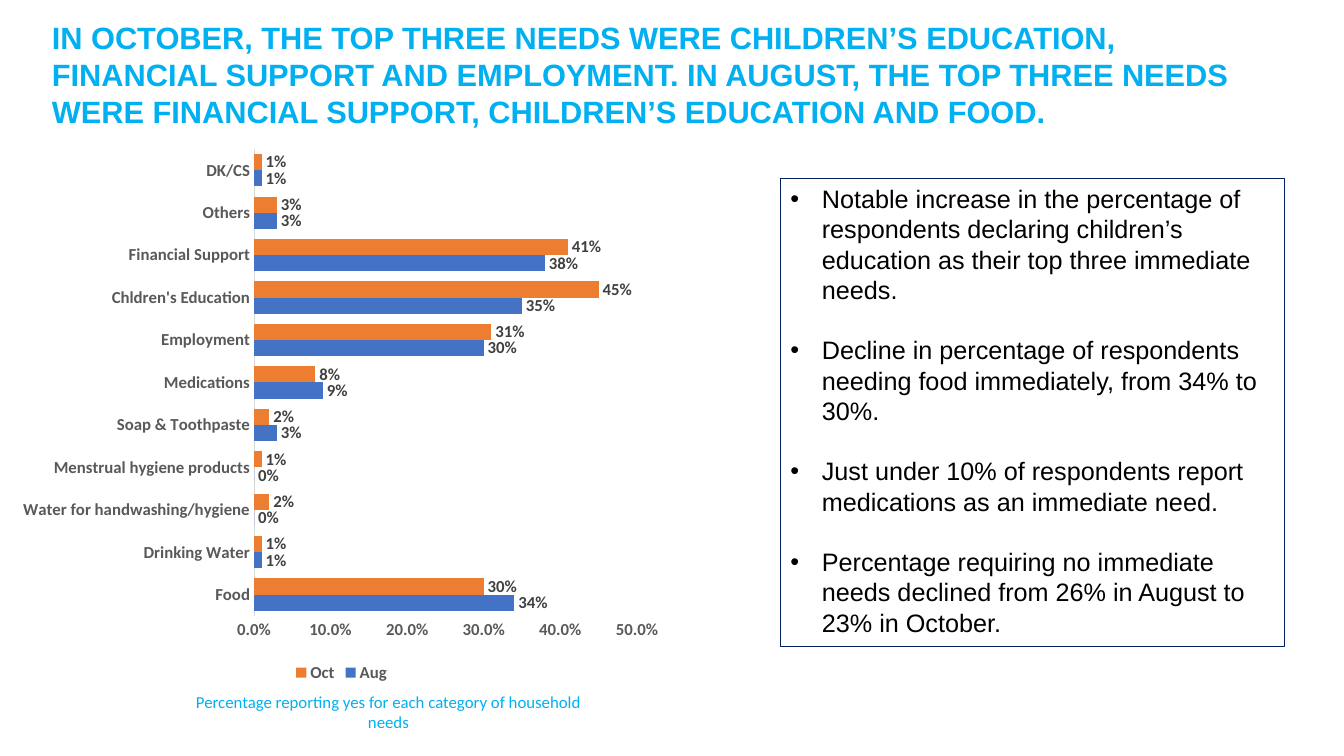
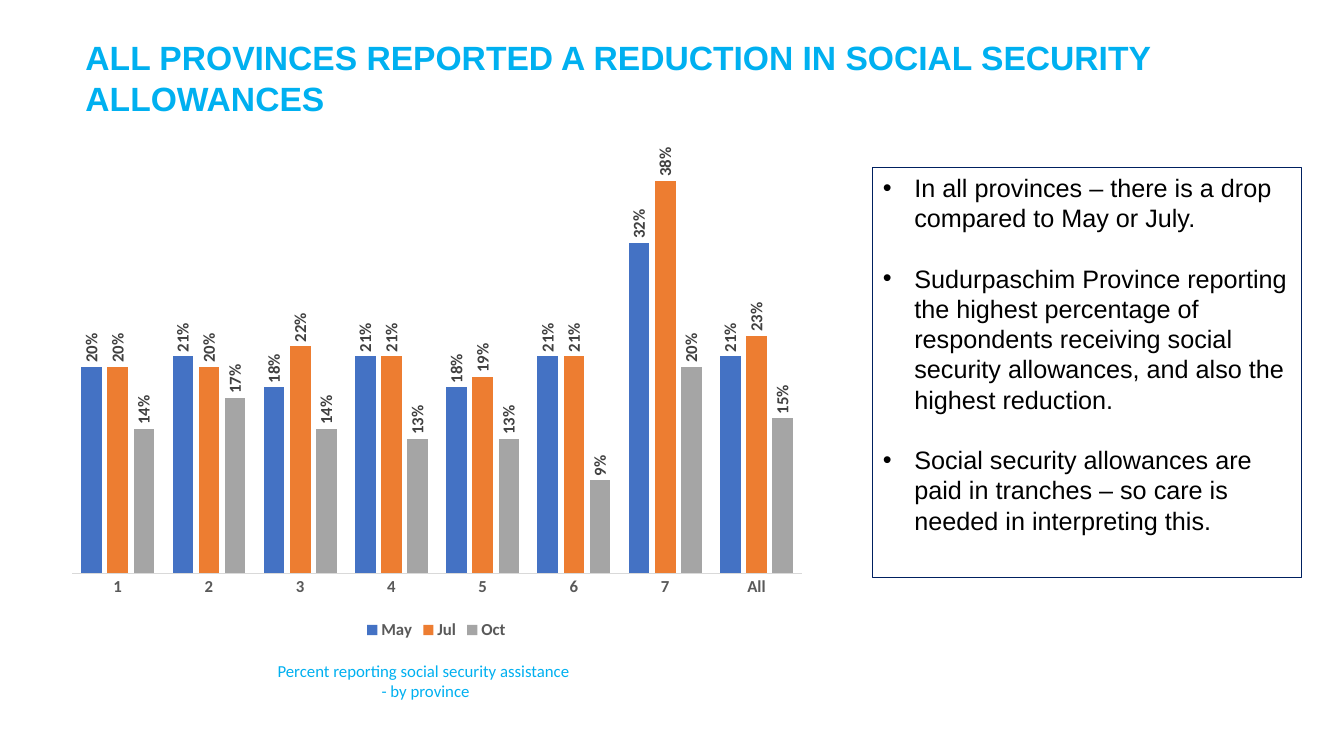
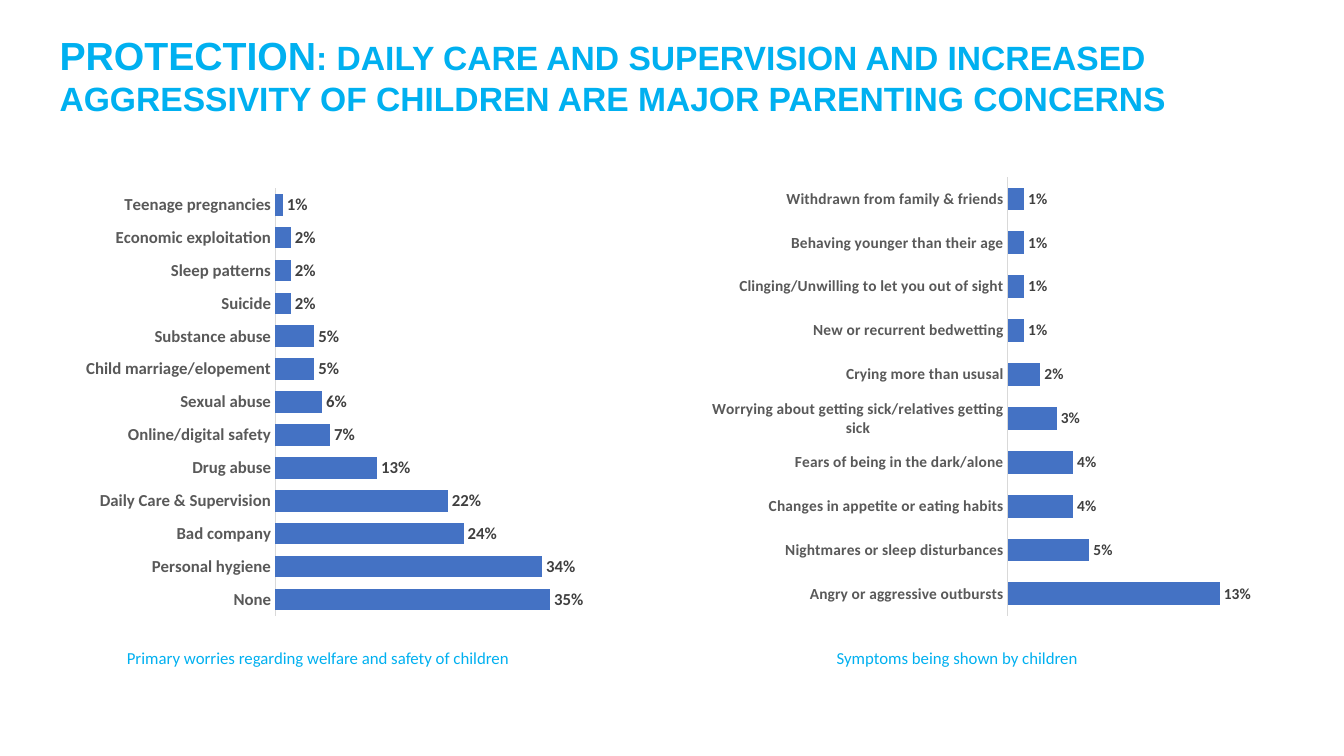
from dataclasses import dataclass

from lxml import etree
from pptx import Presentation
from pptx.chart.data import CategoryChartData
from pptx.dml.color import RGBColor
from pptx.enum.chart import XL_CHART_TYPE, XL_LABEL_POSITION, XL_LEGEND_POSITION, XL_TICK_MARK
from pptx.enum.shapes import MSO_SHAPE
from pptx.enum.text import MSO_ANCHOR, MSO_AUTO_SIZE, PP_ALIGN
from pptx.oxml.ns import qn
from pptx.util import Pt

BAR = XL_CHART_TYPE.BAR_CLUSTERED
COLUMN = XL_CHART_TYPE.COLUMN_CLUSTERED
OUTSIDE_END = XL_LABEL_POSITION.OUTSIDE_END
LEGEND_BOTTOM = XL_LEGEND_POSITION.BOTTOM
NO_TICK = XL_TICK_MARK.NONE
RECTANGLE = MSO_SHAPE.RECTANGLE
TOP = MSO_ANCHOR.TOP
GROW = MSO_AUTO_SIZE.SHAPE_TO_FIT_TEXT
LEFT, CENTER = PP_ALIGN.LEFT, PP_ALIGN.CENTER


@dataclass(frozen=True)
class Theme:
    accent: str = "00B0F0"
    ink: str = "000000"
    frame: str = "002060"
    axis_text: str = "595959"
    axis_line: str = "D9D9D9"
    label_text: str = "404040"
    series: tuple = ("4472C4", "ED7D31", "A5A5A5")
    text_font: str = "Arial"
    chart_font: str = "Calibri"
    title_size: float = 24
    long_title_size: float = 22
    lead_size: float = 28
    bullet_size: float = 18
    bullet_gap: float = 21.6
    bullet_indent: float = 22.5
    small_size: float = 12
    dense_size: float = 11


THEME = Theme()


def style_font(font, name, size, color, bold=False):
    font.name = name
    font.size = Pt(size)
    font.bold = bold
    font.color.rgb = RGBColor.from_string(color)


def add_text_box(page, area):
    box = page.shapes.add_textbox(*map(Pt, area))
    box.text_frame.word_wrap = True
    box.text_frame.auto_size = GROW
    return box.text_frame


def add_title(page, area, *spans):
    """Write a title from (text, size) spans."""
    para = add_text_box(page, area).paragraphs[0]
    for text, size in spans:
        span = para.add_run()
        span.text = text
        style_font(span.font, THEME.text_font, size, THEME.accent, True)


def add_caption(page, area, *lines, align=CENTER):
    frame = add_text_box(page, area)
    for index, line in enumerate(lines):
        para = frame.paragraphs[0] if index == 0 else frame.add_paragraph()
        para.text = line
        para.alignment = align
        style_font(para.font, THEME.chart_font, THEME.small_size, THEME.accent)


def add_bullet_panel(page, area, bullets):
    """Draw the outlined box with its bullet list."""
    panel = page.shapes.add_shape(RECTANGLE, *map(Pt, area))
    panel.shadow.inherit = False
    panel.fill.background()
    panel.line.color.rgb = RGBColor.from_string(THEME.frame)
    panel.line.width = Pt(0.75)
    frame = panel.text_frame
    frame.word_wrap = True
    frame.vertical_anchor = TOP
    for index, bullet in enumerate(bullets):
        para = frame.paragraphs[0] if index == 0 else frame.add_paragraph()
        para.text = bullet
        para.alignment = LEFT
        if index:
            para.space_before = Pt(THEME.bullet_gap)
        properties = para._p.get_or_add_pPr()
        properties.set("marL", str(Pt(THEME.bullet_indent)))
        properties.set("indent", str(-Pt(THEME.bullet_indent)))
        etree.SubElement(properties, qn("a:buFont")).set("typeface", THEME.text_font)
        etree.SubElement(properties, qn("a:buChar")).set("char", "•")
        style_font(para.font, THEME.text_font, THEME.bullet_size, THEME.ink)


def place_plot(chart, area, plot_area):
    """Fix the inner plot area, both areas given in slide points."""
    element = chart._chartSpace.find(".//" + qn("c:plotArea"))
    for old in element.findall(qn("c:layout")):
        element.remove(old)
    layout = etree.Element(qn("c:layout"))
    element.insert(0, layout)
    manual = etree.SubElement(layout, qn("c:manualLayout"))
    left, top, width, height = area
    x, y, w, h = plot_area
    values = {
        "layoutTarget": "inner", "xMode": "edge", "yMode": "edge",
        "x": (x - left) / width, "y": (y - top) / height,
        "w": w / width, "h": h / height,
    }
    for name, value in values.items():
        etree.SubElement(manual, qn("c:" + name)).set("val", str(value))


def add_percent_chart(page, kind, area, plot_area, categories, series, gap, top_value,
                      size=THEME.small_size, overlap=0, show_values=False,
                      legend=False, upright_labels=False):
    """Add a clustered chart; series maps names to whole percentages."""
    data = CategoryChartData(number_format="0%")
    data.categories = categories
    for name, percentages in series.items():
        data.add_series(name, [value / 100 for value in percentages])
    chart = page.shapes.add_chart(kind, *map(Pt, area), data).chart
    chart.has_title = False
    style_font(chart.font, THEME.chart_font, size, THEME.ink, True)
    place_plot(chart, area, plot_area)

    # Legend
    chart.has_legend = legend
    if legend:
        chart.legend.position = LEGEND_BOTTOM
        chart.legend.include_in_layout = False
        style_font(chart.legend.font, THEME.chart_font, size, THEME.axis_text, True)

    # Axes
    for axis in (chart.category_axis, chart.value_axis):
        axis.has_major_gridlines = False
        axis.major_tick_mark = axis.minor_tick_mark = NO_TICK
        style_font(axis.tick_labels.font, THEME.chart_font, size, THEME.axis_text, True)
    line = chart.category_axis.format.line
    line.color.rgb = RGBColor.from_string(THEME.axis_line)
    line.width = Pt(0.75)
    values = chart.value_axis
    values.minimum_scale, values.maximum_scale = 0, top_value / 100
    values.tick_labels.number_format = "0.0%"
    values.tick_labels.number_format_is_linked = False
    values.format.line.fill.background()
    values.visible = show_values

    # Bars and labels
    plot = chart.plots[0]
    plot.vary_by_categories = False
    plot.gap_width, plot.overlap = gap, overlap
    for bars, color in zip(plot.series, THEME.series):
        bars.invert_if_negative = False
        bars.format.fill.solid()
        bars.format.fill.fore_color.rgb = RGBColor.from_string(color)
        labels = bars.data_labels
        labels.show_value = True
        labels.position = OUTSIDE_END
        labels.number_format = "0%"
        labels.number_format_is_linked = False
        style_font(labels.font, THEME.chart_font, size, THEME.label_text, True)
        if upright_labels:
            body = labels._element.find(qn("c:txPr")).find(qn("a:bodyPr"))
            body.set("rot", "-5400000")
            body.set("vert", "horz")


def build_needs(page):
    add_bullet_panel(page, (557.5, 127.5, 360, 334), [
        "Notable increase in the percentage of respondents declaring children’s "
        "education as their top three immediate needs.",
        "Decline in percentage of respondents needing food immediately, from 34% to 30%.",
        "Just under 10% of respondents report medications as an immediate need.",
        "Percentage requiring no immediate needs declined from 26% in August to 23% in October.",
    ])
    add_title(page, (30, 10, 887, 87), (
        "IN OCTOBER, THE TOP THREE NEEDS WERE CHILDREN’S EDUCATION, FINANCIAL SUPPORT "
        "AND EMPLOYMENT. IN AUGUST, THE TOP THREE NEEDS WERE FINANCIAL SUPPORT, "
        "CHILDREN’S EDUCATION AND FOOD.", THEME.long_title_size))
    add_caption(page, (128, 490.5, 299, 36),
                "Percentage reporting yes for each category of household needs")
    add_percent_chart(
        page, BAR, (8, 99.5, 472, 391), (181.5, 106.5, 273.5, 333.5),
        ["Food", "Drinking Water", "Water for handwashing/hygiene",
         "Menstrual hygiene products", "Soap & Toothpaste", "Medications", "Employment",
         "Chldren's Education", "Financial Support", "Others", "DK/CS"],
        {"Aug": [34, 1, 0, 0, 3, 9, 30, 35, 38, 3, 1],
         "Oct": [30, 1, 2, 1, 2, 8, 31, 45, 41, 3, 1]},
        gap=62, top_value=50, show_values=True, legend=True)


def build_allowances(page):
    add_bullet_panel(page, (623.5, 119.5, 306, 293), [
        "In all provinces – there is a drop compared to May or July.",
        "Sudurpaschim Province reporting the highest percentage of respondents receiving "
        "social security allowances, and also the highest reduction.",
        "Social security allowances are paid in tranches – so care is needed in "
        "interpreting this.",
    ])
    add_title(page, (54, 23, 869, 65.5), (
        "ALL PROVINCES REPORTED A REDUCTION IN SOCIAL SECURITY ALLOWANCES",
        THEME.title_size))
    add_caption(page, (90.5, 468.5, 427, 36),
                "Percent reporting social security assistance ", "- by province")
    add_percent_chart(
        page, COLUMN, (40, 73, 543.5, 387), (51.5, 114.5, 521.5, 295),
        ["1", "2", "3", "4", "5", "6", "7", "All"],
        {"May": [20, 21, 18, 21, 18, 21, 32, 21],
         "Jul": [20, 20, 22, 21, 19, 21, 38, 23],
         "Oct": [14, 17, 14, 13, 13, 9, 20, 15]},
        gap=89, top_value=40, overlap=-27, legend=True, upright_labels=True)


def build_protection(page):
    add_percent_chart(
        page, BAR, (502.5, 120, 391.5, 326), (720, 126.5, 163, 313.5),
        ["Angry or aggressive outbursts", "Nightmares or sleep disturbances",
         "Changes in appetite or eating habits", "Fears of being in the dark/alone",
         "Worrying about getting sick/relatives getting sick", "Crying more than ususal",
         "New or recurrent bedwetting", "Clinging/Unwilling to let you out of sight",
         "Behaving younger than their age", "Withdrawn from family & friends"],
        {"Series 1": [13, 5, 4, 4, 3, 2, 1, 1, 1, 1]},
        gap=92, top_value=14, size=THEME.dense_size)
    add_title(page, (35.5, 18.5, 890, 70.5), ("PROTECTION", THEME.lead_size), (
        ": DAILY CARE AND SUPERVISION AND INCREASED AGGRESSIVITY OF CHILDREN "
        "ARE MAJOR PARENTING CONCERNS", THEME.title_size))
    add_caption(page, (83.5, 459, 317.5, 21.5),
                "Primary worries regarding welfare and safety of children", align=LEFT)
    add_caption(page, (590.5, 459, 216.5, 21.5),
                "Symptoms being shown by children", align=LEFT)
    add_percent_chart(
        page, BAR, (54.5, 128, 374.5, 318), (196.5, 134.5, 224.5, 305.5),
        ["None", "Personal hygiene", "Bad company", "Daily Care & Supervision",
         "Drug abuse", "Online/digital safety", "Sexual abuse",
         "Child marriage/elopement", "Substance abuse", "Suicide", "Sleep patterns",
         "Economic exploitation", "Teenage pregnancies"],
        {"Series 1": [35, 34, 24, 22, 13, 7, 6, 5, 5, 2, 2, 2, 1]},
        gap=52, top_value=40)


def main():
    deck = Presentation()
    deck.slide_width, deck.slide_height = Pt(960), Pt(540)
    blank = deck.slide_layouts[6]
    for build in (build_needs, build_allowances, build_protection):
        build(deck.slides.add_slide(blank))
    deck.save("out.pptx")


if __name__ == "__main__":
    main()
